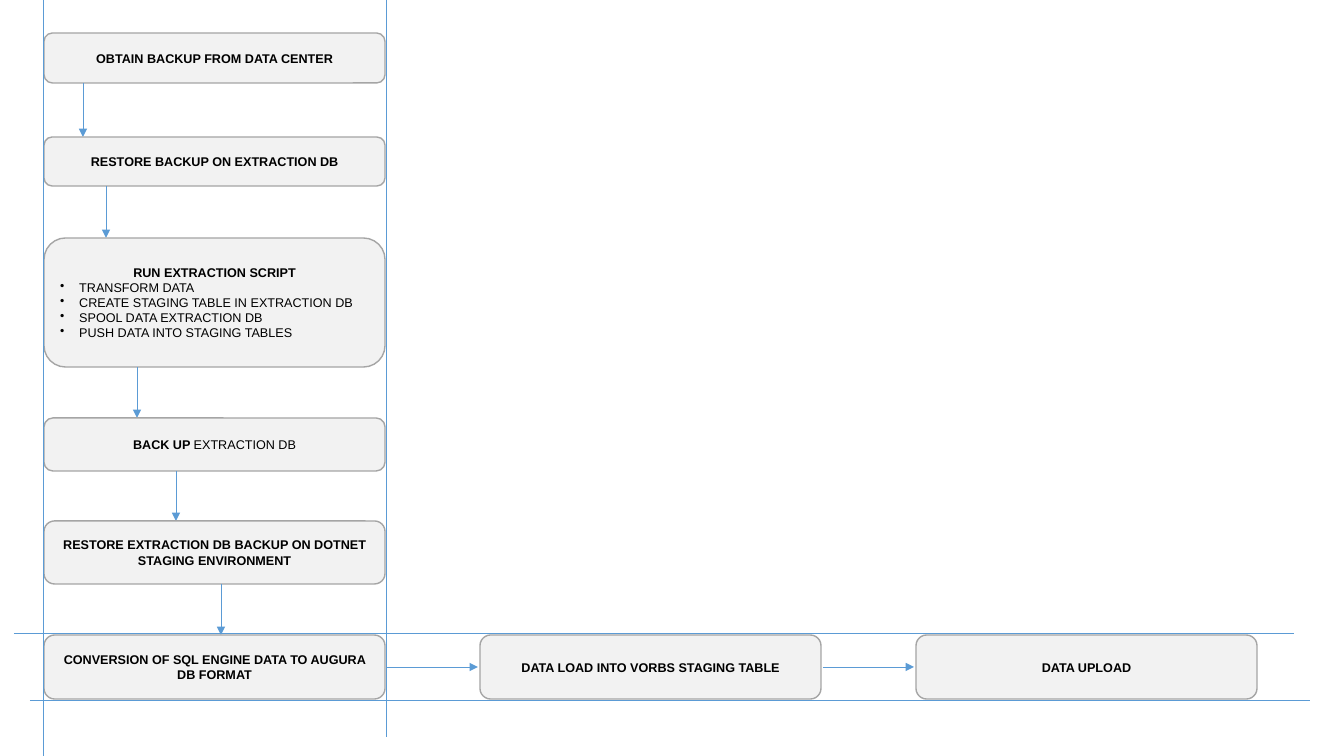
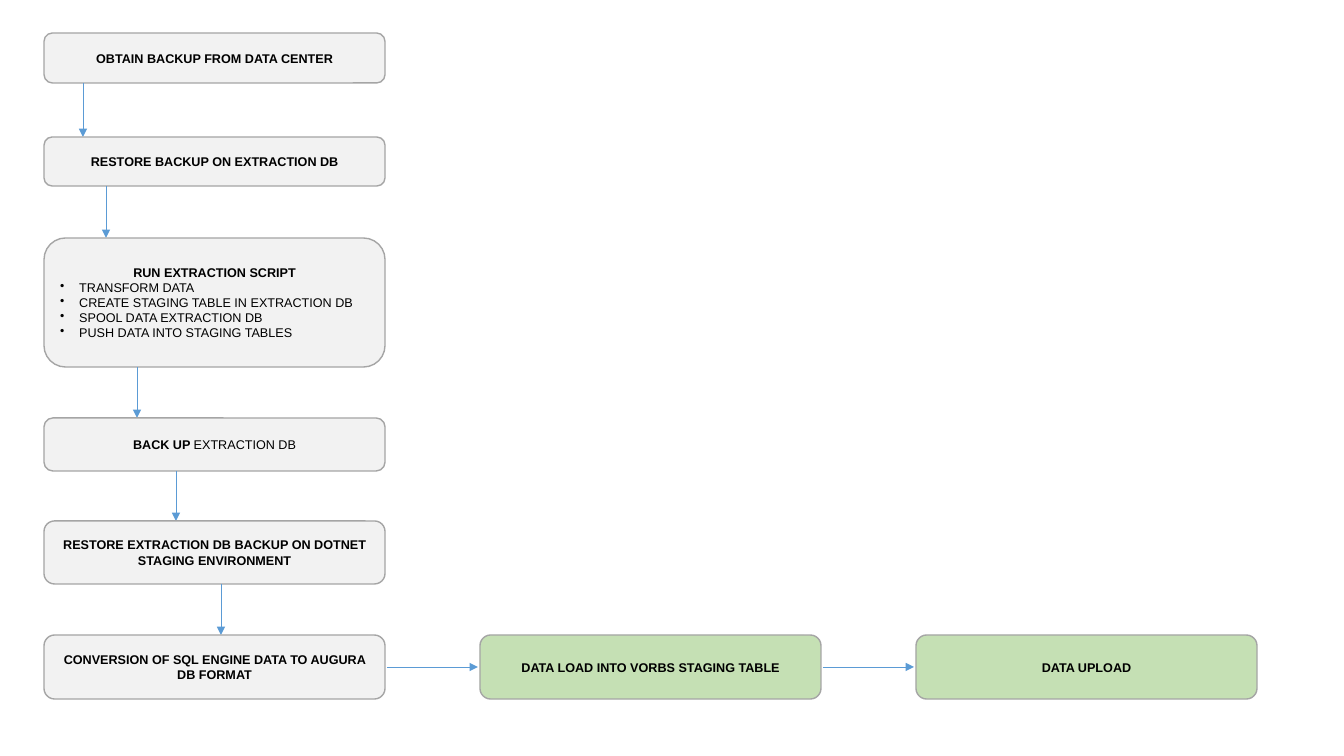
import pptx
import pptx.util
import pptx.dml.color
import pptx.enum.shapes
import pptx.enum.text
import pptx.oxml.ns
import lxml.etree

RGBColor = pptx.dml.color.RGBColor
BLACK = RGBColor(0x00, 0x00, 0x00)
PALE_GREY = RGBColor(0xF2, 0xF2, 0xF2)
BORDER_GREY = RGBColor(0xA5, 0xA5, 0xA5)
GREEN = RGBColor(0xC5, 0xE0, 0xB4)
BLUE = RGBColor(0x5B, 0x9B, 0xD5)

PX_PER_INCH = 100.8
SLIDE_W, SLIDE_H = 1344, 756
FONT = "Arial"
FLOW_LEFT, FLOW_TOP = 44, 33
STEP_W, STAGE_H, STAGE_PITCH = 341, 64, 436
ARROW_GAP = 2
BULLET_INDENT = 19

# top, height, bold text, plain text, bullets, x of the arrow leaving the step
STEPS = [
    (0, 50, "OBTAIN BACKUP FROM DATA CENTER", "", [], 39),
    (104, 49, "RESTORE BACKUP ON EXTRACTION DB", "", [], 62),
    (205, 129, "RUN EXTRACTION SCRIPT", "", [
        "TRANSFORM DATA",
        "CREATE STAGING TABLE IN EXTRACTION DB",
        "SPOOL DATA EXTRACTION DB",
        "PUSH DATA INTO STAGING TABLES",
    ], 93),
    (385, 53, "BACK UP ", "EXTRACTION DB", [], 132),
    (488, 63, "RESTORE EXTRACTION DB BACKUP ON DOTNET STAGING ENVIRONMENT", "", [], 177),
]
STAGE_TOP = 602
STAGES = [
    "CONVERSION OF SQL ENGINE DATA TO AUGURA DB FORMAT",
    "DATA LOAD INTO VORBS STAGING TABLE",
    "DATA UPLOAD",
]
GUIDES = [
    (386, 0, 386, 737),
    (43, 0, 43, SLIDE_H),
    (14, 633, 1294, 633),
    (30, 700, 1310, 700),
]


def px(length):
    return pptx.util.Emu(round(length * 914400 / PX_PER_INCH))


def add_run(paragraph, text, bold):
    run = paragraph.add_run()
    run.text = text
    run.font.name = FONT
    run.font.size = pptx.util.Pt(9)
    run.font.bold = bold
    run.font.color.rgb = BLACK


def add_bullet(frame, text):
    paragraph = frame.add_paragraph()
    paragraph.alignment = pptx.enum.text.PP_ALIGN.LEFT
    properties = paragraph._p.get_or_add_pPr()
    properties.set("marL", str(px(BULLET_INDENT)))
    properties.set("indent", str(-px(BULLET_INDENT)))
    bullet = lxml.etree.SubElement(properties, pptx.oxml.ns.qn("a:buChar"))
    bullet.set("char", "•")
    add_run(paragraph, text, False)


def add_step(shapes, left, top, height, heading, plain="", bullets=(), fill=PALE_GREY):
    step = shapes.add_shape(pptx.enum.shapes.MSO_SHAPE.ROUNDED_RECTANGLE,
                            px(left), px(top), px(STEP_W), px(height))
    step.shadow.inherit = False
    step.fill.solid()
    step.fill.fore_color.rgb = fill
    step.line.color.rgb = BORDER_GREY
    step.line.width = pptx.util.Pt(1)
    frame = step.text_frame
    frame.word_wrap = True
    frame.vertical_anchor = pptx.enum.text.MSO_ANCHOR.MIDDLE
    title = frame.paragraphs[0]
    title.alignment = pptx.enum.text.PP_ALIGN.CENTER
    add_run(title, heading, True)
    if plain:
        add_run(title, plain, False)
    for bullet in bullets:
        add_bullet(frame, bullet)


def add_line(shapes, x1, y1, x2, y2, arrow=False):
    line = shapes.add_connector(pptx.enum.shapes.MSO_CONNECTOR.STRAIGHT,
                                px(x1), px(y1), px(x2), px(y2))
    line.line.color.rgb = BLUE
    line.line.width = pptx.util.Pt(0.5)
    if arrow:
        head = lxml.etree.SubElement(line.line._get_or_add_ln(),
                                     pptx.oxml.ns.qn("a:tailEnd"))
        head.set("type", "triangle")
    lxml.etree.SubElement(line._element.spPr, pptx.oxml.ns.qn("a:effectLst"))


def add_extraction_column(shapes, left, top):
    next_tops = [step[0] for step in STEPS[1:]] + [STAGE_TOP]
    for (offset, height, heading, plain, bullets, arrow_x), next_top in zip(STEPS, next_tops):
        add_step(shapes, left, top + offset, height, heading, plain, bullets)
        add_line(shapes, left + arrow_x, top + offset + height,
                 left + arrow_x, top + next_top, arrow=True)


def add_stage_row(shapes, left, top, load_fill):
    middle = top + STAGE_H // 2
    for index, heading in enumerate(STAGES):
        stage_left = left + index * STAGE_PITCH
        add_step(shapes, stage_left, top, STAGE_H, heading,
                 fill=load_fill if index else PALE_GREY)
        if index:
            add_line(shapes, stage_left - STAGE_PITCH + STEP_W + ARROW_GAP, middle,
                     stage_left - ARROW_GAP, middle, arrow=True)


def add_migration_flow(shapes, left, top, load_fill):
    add_extraction_column(shapes, left, top)
    add_stage_row(shapes, left, top + STAGE_TOP, load_fill)


def main():
    deck = pptx.Presentation()
    deck.slide_width, deck.slide_height = px(SLIDE_W), px(SLIDE_H)
    blank = deck.slide_layouts[6]

    guided = deck.slides.add_slide(blank).shapes
    add_migration_flow(guided, FLOW_LEFT, FLOW_TOP, PALE_GREY)
    for guide in GUIDES:
        add_line(guided, *guide)

    grouped = deck.slides.add_slide(blank).shapes.add_group_shape().shapes
    add_migration_flow(grouped, FLOW_LEFT, FLOW_TOP, GREEN)

    deck.save("out.pptx")


if __name__ == "__main__":
    main()
